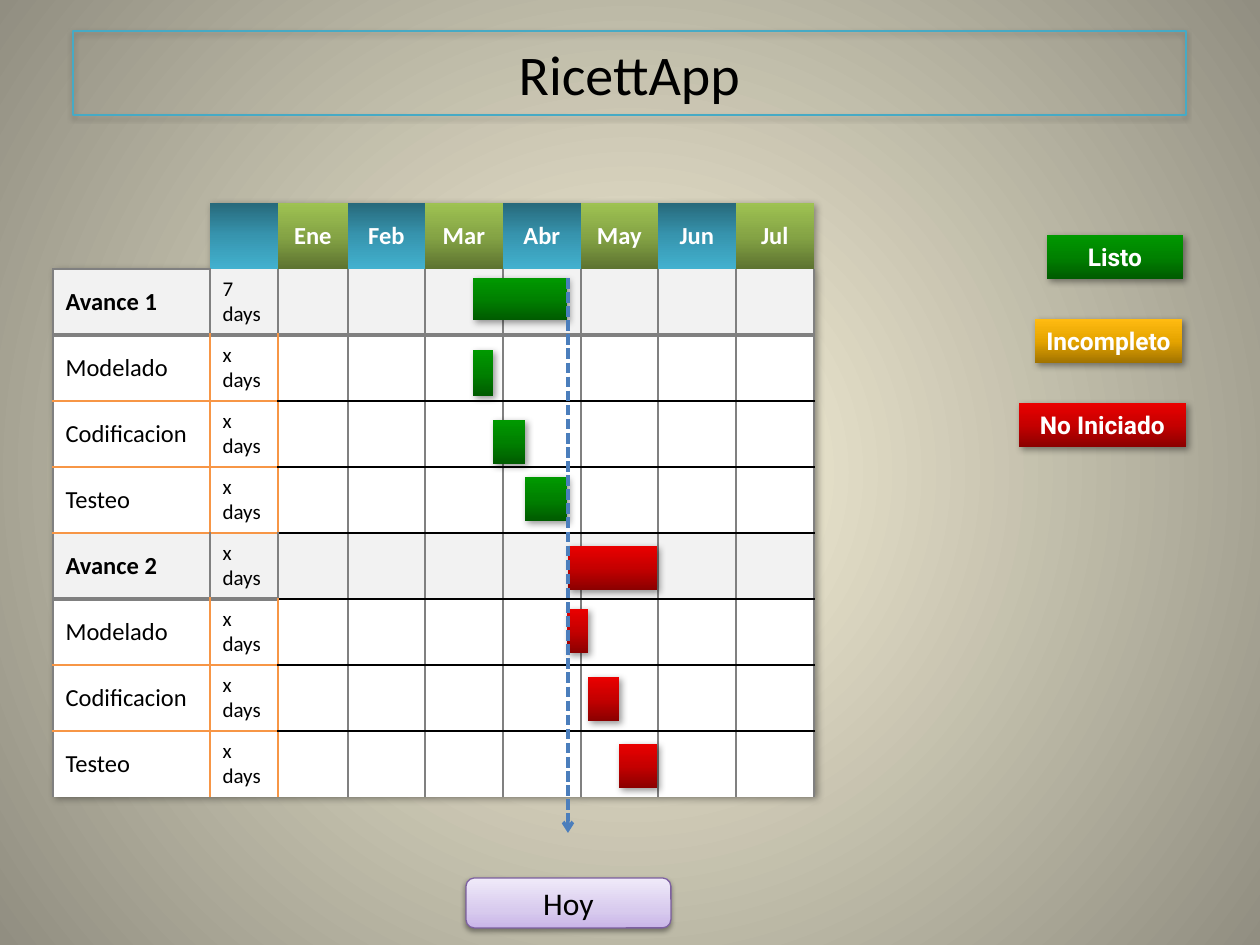
"""Build the RicettApp project schedule slide."""
from lxml.etree import SubElement
from pptx import Presentation
from pptx.dml.color import RGBColor
from pptx.enum.dml import MSO_LINE
from pptx.enum.shapes import MSO_CONNECTOR, MSO_SHAPE
from pptx.enum.text import MSO_ANCHOR, PP_ALIGN
from pptx.oxml import parse_xml
from pptx.oxml.ns import nsdecls, qn
from pptx.util import Pt

PX = 914400 // 126
GREEN = [(0, "005B00"), (50, "008100"), (100, "009900")]
AMBER = [(0, "A17300"), (50, "E5A400"), (100, "FFBB11")]
RED = [(0, "8B0000"), (50, "C50000"), (100, "EA0000")]
BLUE = [(0, "42B1CF"), (50, "3795AF"), (100, "27697B")]
OLIVE = [(0, "5D7330"), (50, "85A445"), (100, "9EC252")]
LILAC = [(0, "C9B5E8"), (35, "D8CBEE"), (100, "F0EAF9")]
BACKDROP = [(0, "FCF7DD"), (100, "918E81")]
SOFT, CAST = (38, 3.1, 1.6, 90), (40, 4, 2, 45)
GREY, ORANGE, BLACK, WHITE = "808080", "F79646", "000000", "FFFFFF"

TITLE_BOX = (73, 31, 1113, 84)
MONTHS = ["Ene", "Feb", "Mar", "Abr", "May", "Jun", "Jul"]
TASKS = [("Avance 1", ["7", "days"]), ("Modelado", ["x days"]),
         ("Codificacion", ["x days"]), ("Testeo", ["x days"]),
         ("Avance 2", ["x days"]), ("Modelado", ["x days"]),
         ("Codificacion", ["x days"]), ("Testeo", ["x days"])]
LEFT, TOP, ROW = 53, 203, 66
COLS = [157, 68, 70, 77, 78, 78, 77, 78, 78]
BARS = [(473, 278, 94, 42, GREEN), (473, 350, 20, 46, GREEN),
        (493, 420, 32, 44, GREEN), (525, 477, 42, 44, GREEN),
        (568, 546, 89, 44, RED), (567, 609, 21, 44, RED),
        (588, 677, 31, 44, RED), (619, 744, 38, 44, RED)]
LEGEND = [("Listo", 1047, 235, 136, GREEN), ("Incompleto", 1035, 319, 147, AMBER),
          ("No Iniciado", 1019, 403, 167, RED)]
TODAY = (568, 278, 833)


def rgb(value):
    return RGBColor.from_string(value)


def px(*values):
    return [v * PX for v in values]


def gradient(stops, radial=False):
    gs = "".join(f'<a:gs pos="{pos * 1000}"><a:srgbClr val="{c}"/></a:gs>' for pos, c in stops)
    way = ('<a:path path="circle"><a:fillToRect l="50000" t="50000" r="50000" b="50000"/></a:path>'
           if radial else '<a:lin ang="16200000" scaled="0"/>')
    return parse_xml(f'<a:gradFill {nsdecls("a")} rotWithShape="1"><a:gsLst>{gs}</a:gsLst>{way}</a:gradFill>')


def paint(fill, parent, stops, radial=False):
    fill.solid()
    old = parent.find(qn("a:solidFill"))
    parent.replace(old, gradient(stops, radial))


def shadow(alpha, blur, dist, angle, color=BLACK):
    return parse_xml(
        f'<a:effectLst {nsdecls("a")}><a:outerShdw blurRad="{Pt(blur)}" dist="{Pt(dist)}" '
        f'dir="{angle * 60000}" algn="t" rotWithShape="0"><a:srgbClr val="{color}">'
        f'<a:alpha val="{alpha * 1000}"/></a:srgbClr></a:outerShdw></a:effectLst>')


def write(tf, lines, size, color=BLACK, bold=False, align=PP_ALIGN.LEFT, font="Calibri"):
    for i, line in enumerate(lines):
        p = tf.add_paragraph() if i else tf.paragraphs[0]
        p.alignment = align
        r = p.add_run()
        r.text = line
        r.font.size, r.font.name, r.font.bold = Pt(size), font, bold
        r.font.color.rgb = rgb(color)
    return r


def box(s, rect, stops=None, line=None, effect=CAST, kind=MSO_SHAPE.RECTANGLE):
    sp = s.shapes.add_shape(kind, *px(*rect))
    pr = sp._element.spPr
    if stops:
        paint(sp.fill, pr, stops)
    else:
        sp.fill.background()
    if line:
        sp.line.color.rgb, sp.line.width = rgb(line), Pt(0.75)
    else:
        sp.line.fill.background()
    pr.append(shadow(*effect))
    sp.text_frame.vertical_anchor = MSO_ANCHOR.MIDDLE
    return sp


def borders(cell, **sides):
    tcPr = cell._tc.get_or_add_tcPr()
    for i, side in enumerate(side for side in "LRTB" if side in sides):
        color, width = sides[side]
        tcPr.insert(i, parse_xml(
            f'<a:ln{side} {nsdecls("a")} w="{Pt(width)}"><a:solidFill>'
            f'<a:srgbClr val="{color}"/></a:solidFill></a:ln{side}>'))


def below(row, col):
    if row == 1 or (row == 5 and col < 2):
        return GREY, 2.25
    return (ORANGE if col < 2 else BLACK), 1


def beside(row, edge):
    return (ORANGE if edge in (1, 2) and row not in (1, 5) else GREY), 1


def schedule(s):
    rows = len(TASKS) + 1
    frame = s.shapes.add_table(rows, len(COLS), *px(LEFT, TOP, sum(COLS), ROW * rows))
    tbl = frame.table
    tbl.first_row = tbl.horz_banding = False
    tblPr = tbl._tbl.tblPr
    tblPr.find(qn("a:tableStyleId")).text = "{2D5ABB26-0587-4C30-8999-92F81FD0307C}"
    tblPr.insert(0, shadow(*CAST))
    for column, width in zip(tbl.columns, COLS):
        column.width = width * PX
    for i, row in enumerate(tbl.rows):
        row.height = ROW * PX
        for j, cell in enumerate(row.cells):
            cell.vertical_anchor = MSO_ANCHOR.MIDDLE
            if i:
                group = i in (1, 5)
                cell.fill.solid()
                cell.fill.fore_color.rgb = rgb("F2F2F2" if group else WHITE)
                sides = {"L": beside(i, j), "R": beside(i, j + 1)}
                if i > 1:
                    sides["T"] = below(i - 1, j)
                elif j == 0:
                    sides["T"] = GREY, 1
                if i < rows - 1:
                    sides["B"] = below(i, j)
                borders(cell, **sides)
                name, days = TASKS[i - 1]
                if j == 0:
                    write(cell.text_frame, [name], 14, bold=group)
                elif j == 1:
                    write(cell.text_frame, days, 12)
            elif j:
                paint(cell.fill, cell._tc.get_or_add_tcPr(), BLUE if j % 2 else OLIVE)
                if j > 1:
                    write(cell.text_frame, [MONTHS[j - 2]], 14, WHITE, True, PP_ALIGN.CENTER)
            else:
                cell.fill.background()
                borders(cell, B=(GREY, 1))


def main():
    prs = Presentation()
    prs.slide_width, prs.slide_height = px(1260, 945)
    s = prs.slides.add_slide(prs.slide_layouts[6])
    fill = s.background.fill
    fill.solid()
    paint(fill, s._element.cSld.bg.bgPr, BACKDROP, True)

    box(s, TITLE_BOX, line="46AAC5", effect=SOFT)
    title = s.shapes.add_textbox(*px(*TITLE_BOX))
    tf = title.text_frame
    tf.word_wrap, tf.vertical_anchor = True, MSO_ANCHOR.MIDDLE
    r = write(tf, ["RicettApp"], 32, align=PP_ALIGN.CENTER)
    r.font.fill._xPr.find(qn("a:solidFill")).addnext(shadow(*SOFT, WHITE))

    schedule(s)
    for *rect, stops in BARS:
        box(s, rect, stops)

    x, start, end = TODAY
    line = s.shapes.add_connector(MSO_CONNECTOR.STRAIGHT, *px(x, start, x, end))
    line.line.color.rgb, line.line.width = rgb("4B7EBC"), Pt(2)
    line.line.dash_style = MSO_LINE.SQUARE_DOT
    SubElement(line.line._get_or_add_ln(), qn("a:tailEnd"), type="arrow")
    SubElement(line._element.spPr, qn("a:effectLst"))

    today = box(s, (466, 878, 205, 50), LILAC, "7D60A0", SOFT, MSO_SHAPE.ROUNDED_RECTANGLE)
    write(today.text_frame, ["Hoy"], 18, align=PP_ALIGN.CENTER)
    for label, left, top, width, stops in LEGEND:
        tf = box(s, (left, top, width, 44), stops).text_frame
        tf.margin_left = tf.margin_right = tf.margin_top = tf.margin_bottom = 0
        write(tf, [label], 14, WHITE, True, PP_ALIGN.CENTER, "Roboto")
    prs.save("out.pptx")


main()
